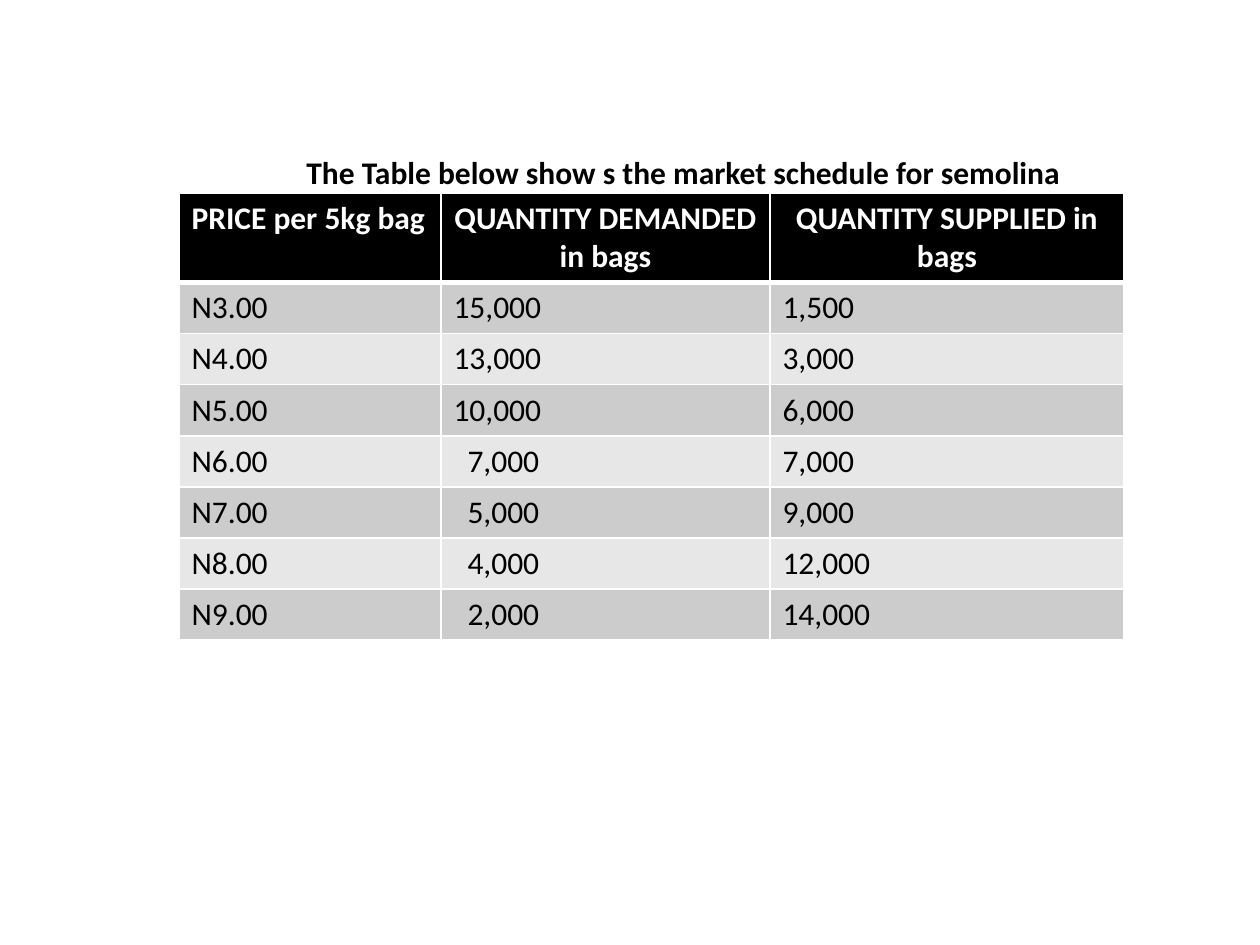
from dataclasses import dataclass

from lxml.etree import SubElement
from pptx import Presentation
from pptx.dml.color import RGBColor
from pptx.enum.text import MSO_AUTO_SIZE, PP_ALIGN
from pptx.oxml.ns import qn
from pptx.util import Emu, Pt

PIXEL = 914400 / 126


@dataclass(frozen=True)
class Theme:
    font: str = "Calibri"
    size: int = 18
    ink: str = "000000"
    paper: str = "FFFFFF"
    bands: tuple = ("CCCCCC", "E7E7E7")
    thin: int = 1
    thick: int = 3


def px(length):
    return Emu(round(length * PIXEL))


def write(frame, text, *, theme, color, bold=False, align=PP_ALIGN.LEFT):
    paragraph = frame.paragraphs[0]
    paragraph.alignment = align
    run = paragraph.add_run()
    run.text = text
    run.font.name = theme.font
    run.font.size = Pt(theme.size)
    run.font.bold = bold
    run.font.color.rgb = RGBColor.from_string(color)


class SlideBuilder:
    def __init__(self, slide, theme):
        self.slide = slide
        self.theme = theme

    def title(self, text, left, top, width, height):
        box = self.slide.shapes.add_textbox(px(left), px(top), px(width), px(height))
        frame = box.text_frame
        frame.word_wrap = False
        frame.auto_size = MSO_AUTO_SIZE.SHAPE_TO_FIT_TEXT
        write(frame, text, theme=self.theme, color=self.theme.ink, bold=True)

    def borders(self, cell, bottom, top):
        properties = cell._tc.get_or_add_tcPr()
        widths = {"a:lnL": self.theme.thin, "a:lnR": self.theme.thin,
                  "a:lnT": top, "a:lnB": bottom}
        for position, (tag, width) in enumerate(widths.items()):
            line = SubElement(properties, qn(tag), w=str(Pt(width)))
            fill = SubElement(line, qn("a:solidFill"))
            SubElement(fill, qn("a:srgbClr"), val=self.theme.paper)
            # Border lines come before the cell fill
            properties.insert(position, line)

    def table(self, rows, left, top, widths, header_height, row_height, indents):
        theme = self.theme
        heights = [header_height] + [row_height] * (len(rows) - 1)
        frame = self.slide.shapes.add_table(
            len(rows), len(widths), px(left), px(top), px(sum(widths)), px(sum(heights)))
        table = frame.table
        for column, width in zip(table.columns, widths):
            column.width = px(width)
        for row, height in zip(table.rows, heights):
            row.height = px(height)

        for row_index, values in enumerate(rows):
            header = row_index == 0
            background = theme.ink if header else theme.bands[(row_index - 1) % 2]
            for column_index, value in enumerate(values):
                cell = table.cell(row_index, column_index)
                cell.fill.solid()
                cell.fill.fore_color.rgb = RGBColor.from_string(background)
                self.borders(cell,
                             bottom=theme.thick if header else theme.thin,
                             top=theme.thick if row_index == 1 else theme.thin)
                if (row_index, column_index) in indents:
                    cell.margin_left += px(indents[row_index, column_index])
                centred = header and column_index > 0
                write(cell.text_frame, value, theme=theme, bold=header,
                      color=theme.paper if header else theme.ink,
                      align=PP_ALIGN.CENTER if centred else PP_ALIGN.LEFT)


presentation = Presentation()
presentation.slide_width = px(1260)
presentation.slide_height = px(945)
slide = presentation.slides.add_slide(presentation.slide_layouts[6])
builder = SlideBuilder(slide, Theme())

# Market schedule
schedule = [
    ("PRICE per 5kg bag", "QUANTITY DEMANDED in bags", "QUANTITY SUPPLIED in bags"),
    ("N3.00", "15,000", "1,500"),
    ("N4.00", "13,000", "3,000"),
    ("N5.00", "10,000", "6,000"),
    ("N6.00", "7,000", "7,000"),
    ("N7.00", "5,000", "9,000"),
    ("N8.00", "4,000", "12,000"),
    ("N9.00", "2,000", "14,000"),
]
# Four-digit demand figures are set in from the left
demand_indents = {(row, 1): 14 for row, values in enumerate(schedule)
                  if len(values[1]) == 5}
builder.table(schedule, 179, 193, widths=(262, 329, 354),
              header_height=88, row_height=51, indents=demand_indents)

# Heading above the table
builder.title("The Table below show s the market schedule for semolina", 294, 147, 786, 50)

presentation.save("out.pptx")
